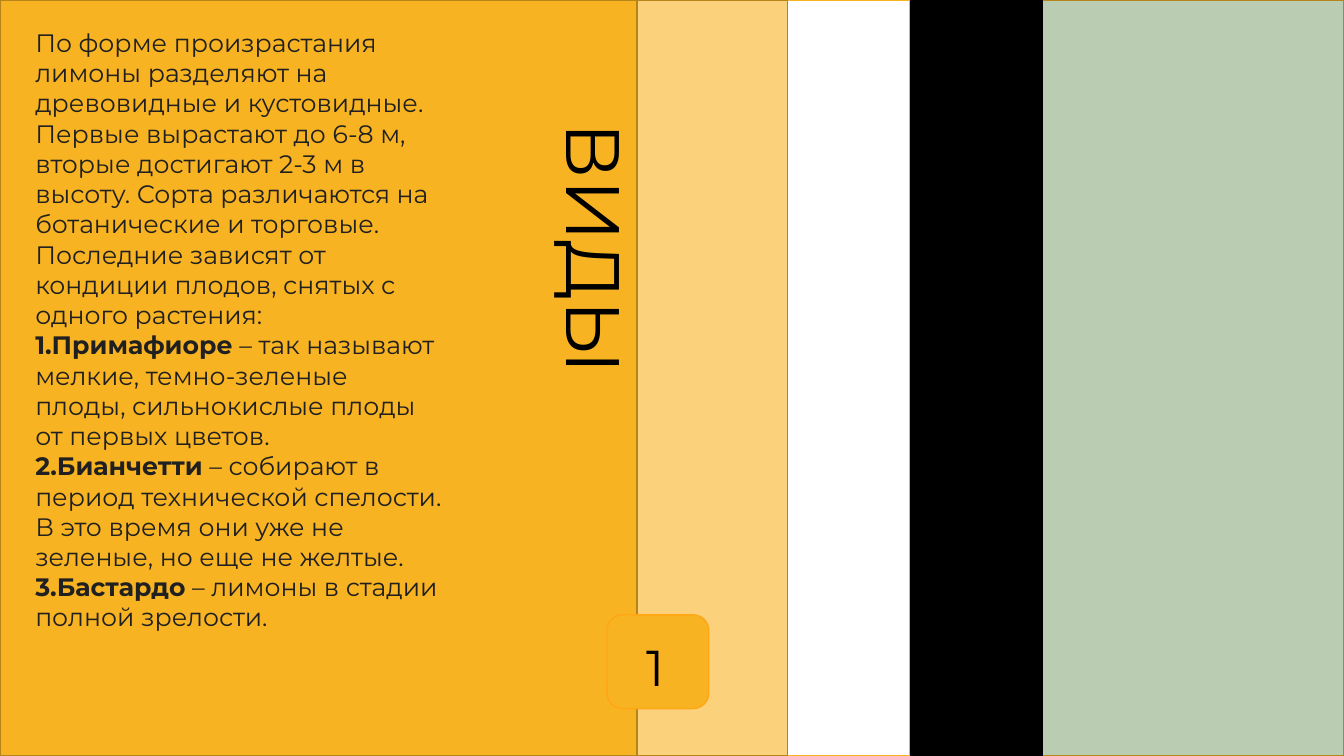
from dataclasses import dataclass

from lxml.etree import SubElement
from pptx import Presentation
from pptx.dml.color import RGBColor
from pptx.enum.shapes import MSO_SHAPE
from pptx.enum.text import MSO_ANCHOR, MSO_AUTO_SIZE, PP_ALIGN
from pptx.oxml.ns import qn
from pptx.util import Inches, Pt


@dataclass(frozen=True)
class Theme:
    font: str = "Montserrat"
    background: str = "F3F3F2"
    sage: str = "BACCB2"
    black: str = "000000"
    white: str = "FFFFFF"
    cream: str = "FBD17B"
    lemon: str = "F8B323"
    edge: str = "B7841A"
    badge_edge: str = "FFA615"
    text: str = "202020"
    body_size: int = 18
    number_size: int = 36
    title_size: int = 54


@dataclass(frozen=True)
class Band:
    right: float
    fill: str
    line: str


@dataclass(frozen=True)
class Variety:
    name: str
    description: str


T = Theme()
WIDTH, HEIGHT = 13.33, 7.5

# Bands all start at the left edge, widest at the back
BANDS = [
    Band(WIDTH, T.sage, T.edge),
    Band(10.34, T.black, T.black),
    Band(9.02, T.white, T.lemon),
    Band(7.81, T.cream, T.edge),
    Band(6.32, T.lemon, T.edge),
]

INTRO = (
    "По форме произрастания лимоны разделяют на древовидные и кустовидные. "
    "Первые вырастают до 6-8 м, вторые достигают 2-3 м в высоту. "
    "Сорта различаются на ботанические и торговые. "
    "Последние зависят от кондиции плодов, снятых с одного растения:"
)
VARIETIES = [
    Variety("Примафиоре", " – так называют мелкие, темно-зеленые плоды, "
            "сильнокислые плоды от первых цветов."),
    Variety("Бианчетти", " – собирают в период технической спелости. "
            "В это время они уже не зеленые, но еще не желтые."),
    Variety("Бастардо", " – лимоны в стадии полной зрелости."),
]


def add_block(s, kind, left: float, top: float, width: float, height: float,
              fill: str, line: str) -> None:
    sp = s.shapes.add_shape(kind, Inches(left), Inches(top), Inches(width), Inches(height))
    sp.shadow.inherit = False
    sp.fill.solid()
    sp.fill.fore_color.rgb = RGBColor.from_string(fill)
    sp.line.color.rgb = RGBColor.from_string(line)
    sp.line.width = Pt(1)


def place_text(sp, left: float, top: float, width: float, height: float):
    sp.left, sp.top, sp.width, sp.height = map(Inches, (left, top, width, height))
    tf = sp.text_frame
    tf.word_wrap = True
    tf.auto_size = MSO_AUTO_SIZE.NONE
    tf.vertical_anchor = MSO_ANCHOR.TOP
    return tf


def set_marker(p, numbered: bool) -> None:
    pPr = p._p.get_or_add_pPr()
    pPr.set("marL", "0")
    pPr.set("indent", "0")
    if numbered:
        SubElement(pPr, qn("a:buFont"), typeface="+mj-lt")
        SubElement(pPr, qn("a:buAutoNum"), type="arabicPeriod")
    else:
        SubElement(pPr, qn("a:buNone"))


def add_run(p, text: str, *, size: int, color: str = T.black, bold: bool = False) -> None:
    p.alignment = PP_ALIGN.LEFT
    p.space_before = Pt(0)
    r = p.add_run()
    r.text = text
    r.font.name = T.font
    r.font.size = Pt(size)
    r.font.bold = bold
    r.font.color.rgb = RGBColor.from_string(color)


def main() -> None:
    prs = Presentation()
    prs.slide_width, prs.slide_height = Inches(WIDTH), Inches(HEIGHT)
    s = prs.slides.add_slide(prs.slide_layouts[1])
    s.background.fill.solid()
    s.background.fill.fore_color.rgb = RGBColor.from_string(T.background)
    title, body = s.shapes.title, s.placeholders[1]

    # Coloured bands
    for band in BANDS:
        add_block(s, MSO_SHAPE.RECTANGLE, 0, 0, band.right, HEIGHT, band.fill, band.line)

    # Bring the placeholders in front of the bands
    for sp in (body, title):
        s.shapes._spTree.append(sp._element)

    # Introduction and numbered varieties
    tf = place_text(body, 0.25, 0.22, 4.26, 7.07)
    p = tf.paragraphs[0]
    set_marker(p, numbered=False)
    add_run(p, INTRO, size=T.body_size, color=T.text)
    for variety in VARIETIES:
        p = tf.add_paragraph()
        set_marker(p, numbered=True)
        add_run(p, variety.name, size=T.body_size, color=T.text, bold=True)
        add_run(p, variety.description, size=T.body_size, color=T.text)

    # Vertical title
    tf = place_text(title, 4.17, 2.35, 3.48, 1.01)
    title.rotation = 90
    add_run(tf.paragraphs[0], "ВИДЫ", size=T.title_size)

    # Number badge
    add_block(s, MSO_SHAPE.ROUNDED_RECTANGLE, 6.02, 6.1, 1.01, 0.93, T.lemon, T.badge_edge)
    number = s.shapes.add_textbox(0, 0, 0, 0)
    tf = place_text(number, 6.31, 6.26, 0.68, 0.71)
    add_run(tf.paragraphs[0], "1", size=T.number_size)

    prs.save("out.pptx")


if __name__ == "__main__":
    main()
